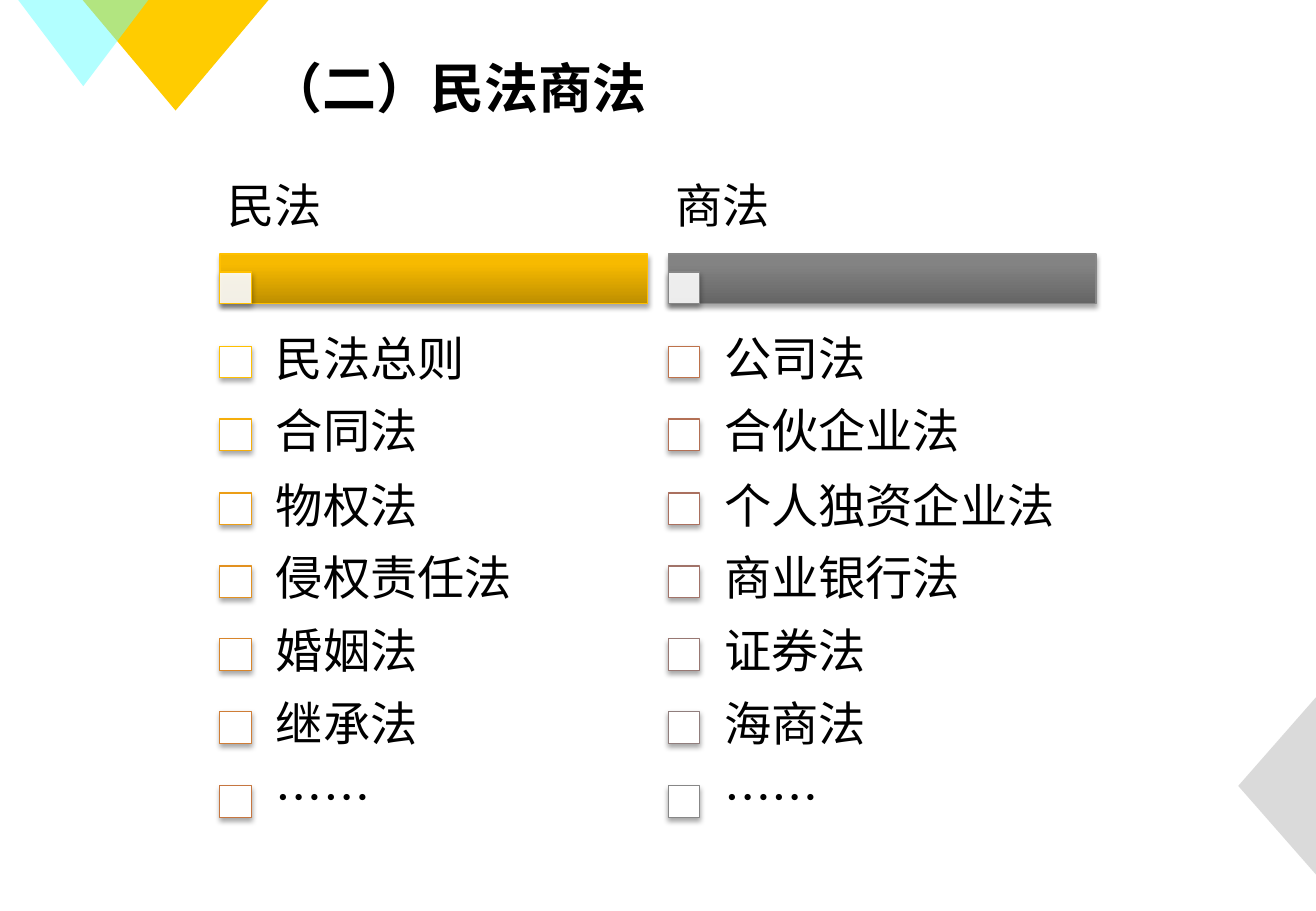
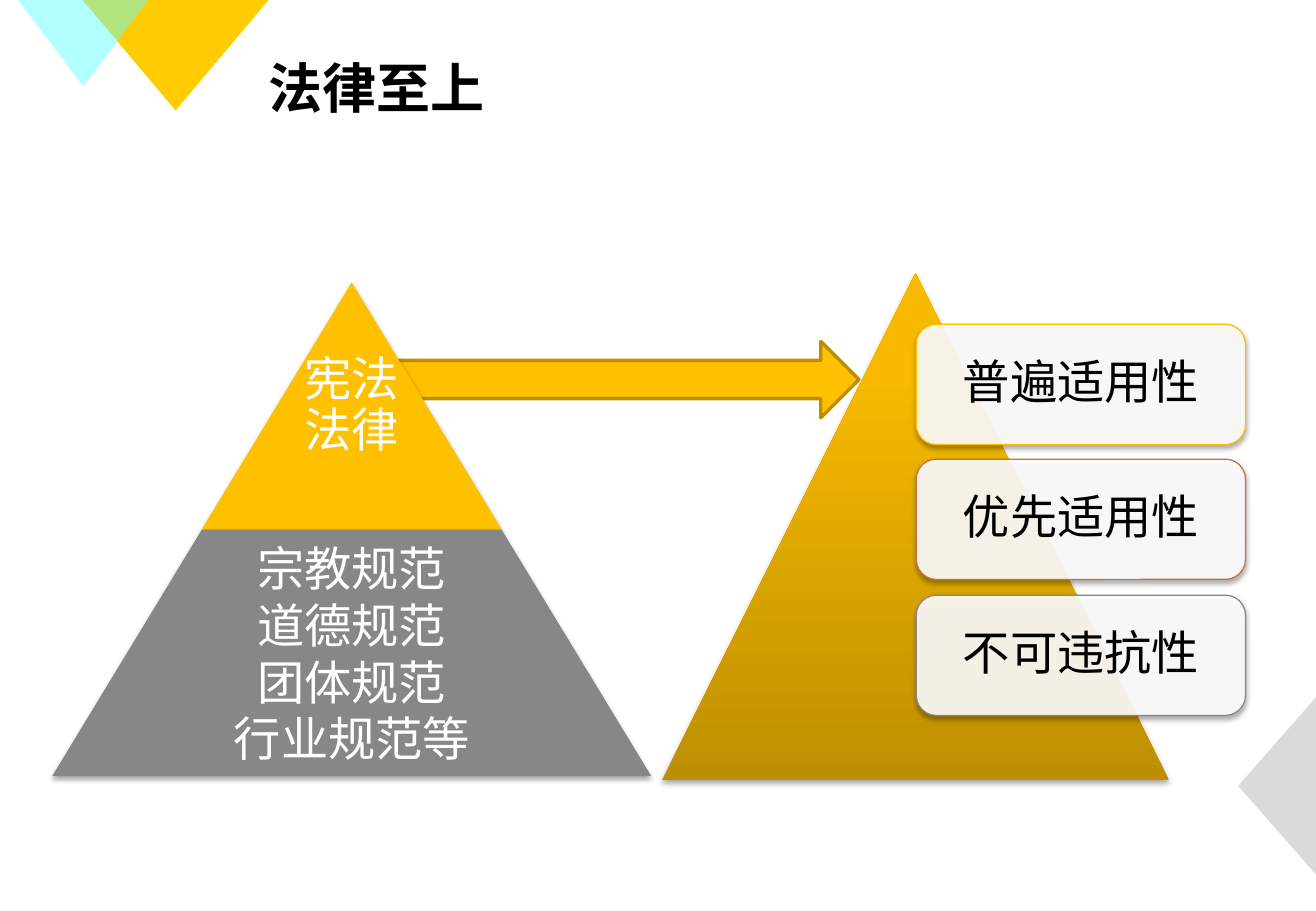
import colorsys
import copy
import dataclasses
import typing

import lxml.etree
import pptx
import pptx.dml.color
import pptx.enum.dml
import pptx.enum.shapes
import pptx.enum.text
import pptx.oxml.ns
import pptx.util

PX = 9144  # EMU in one px, 100 px to the inch
SHAPE = pptx.enum.shapes.MSO_SHAPE
ALIGN = pptx.enum.text.PP_ALIGN
qn = pptx.oxml.ns.qn


class Box(typing.NamedTuple):
    x: int
    y: int
    w: int
    h: int

    def emu(self):
        return [pptx.util.Emu(side * PX) for side in self]


@dataclasses.dataclass(frozen=True)
class Theme:
    font: str = "Noto Sans CJK SC"
    title_size: int = 32
    body_size: int = 28
    hairline: float = 0.75
    black: str = "000000"
    white: str = "FFFFFF"
    amber: str = "FFC000"
    amber_edge: str = "BD8E00"
    grey: str = "878787"
    amber_shade: tuple = ((0, "BE8F00"), (0.8, "F7BA00"), (1, "F8BB00"))
    grey_shade: tuple = ((0, "656565"), (0.8, "838383"), (1, "838383"))
    corner_yellow: str = "FFCC00"
    corner_cyan: str = "66FFFF"
    corner_grey: str = "B7B7B7"


THEME = Theme()
SLIDE = Box(0, 0, 1083, 750)
TITLE = Box(211, 36, 779, 71)


def rgb(colour):
    return pptx.dml.color.RGBColor.from_string(colour)


def fade(share):
    """Colour at a share of the way from amber to grey, through HLS."""
    start, end = (
        colorsys.rgb_to_hls(*(part / 255 for part in rgb(colour)))
        for colour in (THEME.amber, THEME.grey)
    )
    mixed = [a + (b - a) * share for a, b in zip(start, end)]
    return "".join(f"{round(part * 255):02X}" for part in colorsys.hls_to_rgb(*mixed))


# Shapes and text
def add_shadow(shape):
    effects = shape.element.spPr.find(qn("a:effectLst"))
    shadow = lxml.etree.SubElement(
        effects, qn("a:outerShdw"), blurRad="39370", dist="22860",
        dir="5400000", rotWithShape="0")
    tint = lxml.etree.SubElement(shadow, qn("a:srgbClr"), val=THEME.black)
    lxml.etree.SubElement(tint, qn("a:alpha"), val="35000")


def fill_gradient(shape, shade):
    fill = shape.fill
    fill.gradient()
    fill.gradient_angle = 90
    stop_list = shape.element.spPr.find(qn("a:gradFill")).find(qn("a:gsLst"))
    stop_list.append(copy.deepcopy(stop_list[-1]))
    for stop, (position, colour) in zip(fill.gradient_stops, shade):
        stop.position = position
        stop.color.rgb = rgb(colour)


def draw(slide, kind, box, fill, line=None, width=THEME.hairline, opacity=100,
         shadow=True):
    shape = slide.shapes.add_shape(kind, *box.emu())
    shape.shadow.inherit = False
    if isinstance(fill, tuple):
        fill_gradient(shape, fill)
    else:
        shape.fill.solid()
        shape.fill.fore_color.rgb = rgb(fill)
    if opacity < 100:
        tint = shape.element.spPr.find(qn("a:solidFill"))[0]
        lxml.etree.SubElement(tint, qn("a:alpha"), val=str(opacity * 1000))
    if line:
        shape.line.color.rgb = rgb(line)
        shape.line.width = pptx.util.Pt(width)
    else:
        shape.line.fill.background()
    if shadow:
        add_shadow(shape)
    return shape


def write(holder, text, colour=THEME.black, size=THEME.body_size, bold=False,
          align=ALIGN.LEFT, spacing=0.9, inset=(4, 4)):
    frame = holder.text_frame
    frame.text = text
    frame.word_wrap = True
    frame.auto_size = pptx.enum.text.MSO_AUTO_SIZE.NONE
    frame.vertical_anchor = pptx.enum.text.MSO_ANCHOR.MIDDLE
    frame.margin_left = frame.margin_right = inset[0] * PX
    frame.margin_top = frame.margin_bottom = inset[1] * PX
    for paragraph in frame.paragraphs:
        paragraph.alignment = align
        paragraph.line_spacing = spacing
        for run in paragraph.runs:
            run.font.name = THEME.font
            run.font.size = pptx.util.Pt(size)
            run.font.bold = bold
            run.font.color.rgb = rgb(colour)
            latin = run.font._element.find(qn("a:latin"))
            east_asian = copy.deepcopy(latin)
            east_asian.tag = qn("a:ea")
            latin.addnext(east_asian)


def label(slide, box, text, **style):
    write(slide.shapes.add_textbox(*box.emu()), text, **style)


# Parts that the slides share
def decorate_layout(layout, slide):
    """Draw the corner triangles on a slide and move them to its layout."""
    corners = (
        (Box(68, 0, 153, 91), 180, THEME.corner_yellow, 100),
        (Box(15, 0, 107, 71), 180, THEME.corner_cyan, 50),
        (Box(978, 615, 146, 64), 270, THEME.corner_grey, 50),
    )
    for order, (box, turn, colour, opacity) in enumerate(corners):
        corner = draw(slide, SHAPE.ISOSCELES_TRIANGLE, box, colour,
                      opacity=opacity, shadow=False)
        corner.rotation = turn
        corner.element.nvSpPr.cNvPr.set("id", str(20 + order))
        layout.shapes.element.insert(2 + order, corner.element)


def add_titled_slide(deck, layout, title):
    slide = deck.slides.add_slide(layout)
    heading = slide.shapes.title
    heading.left, heading.top, heading.width, heading.height = TITLE.emu()
    write(heading, title, size=THEME.title_size, bold=True, align=ALIGN.JUSTIFY,
          spacing=1.0, inset=(10, 5))
    return slide


# Column of laws: heading, bar and check list
def law_column(slide, box, heading, laws, shade, edge, list_edges):
    check_size, row_area, list_top = 26, 422, box.y + 133
    label(slide, Box(box.x, box.y, box.w, 74), heading, inset=(6, 4))
    bar = Box(box.x, box.y + 75, box.w, 41)
    draw(slide, SHAPE.RECTANGLE, bar, shade, edge)
    bar_check = Box(bar.x, bar.y + bar.h - check_size, check_size, check_size)
    draw(slide, SHAPE.RECTANGLE, bar_check, THEME.white, edge, opacity=90)
    for row, (law, row_edge) in enumerate(zip(laws, list_edges)):
        top = list_top + round(row * row_area / len(laws))
        check = Box(box.x, top + 18, check_size, check_size)
        draw(slide, SHAPE.RECTANGLE, check, THEME.white, row_edge)
        label(slide, Box(box.x + 24, top, box.w - 24, 60), law, inset=(22, 0))


def law_slide(slide):
    columns = (
        ("民法", THEME.amber_shade, THEME.amber,
         ("民法总则", "合同法", "物权法", "侵权责任法", "婚姻法", "继承法", "……")),
        ("商法", THEME.grey_shade, THEME.grey,
         ("公司法", "合伙企业法", "个人独资企业法", "商业银行法", "证券法", "海商法", "……")),
    )
    total = sum(len(laws) for *_, laws in columns)
    edges = iter([fade(step / (total - 1)) for step in range(total)])
    for index, (heading, shade, edge, laws) in enumerate(columns):
        law_column(slide, Box(181 + 369 * index, 134, 352, 555), heading, laws,
                   shade, edge, [next(edges) for _ in laws])


# Pyramid of norms: law above, other norms below
def norm_pyramid(slide, box):
    half = box.h // 2
    tip = Box(box.x + box.w // 4, box.y, box.w // 2 + 1, half)
    base = Box(box.x, box.y + half, box.w, half)
    for tier, colour in ((tip, THEME.amber), (base, THEME.grey)):
        trapezoid = draw(slide, SHAPE.TRAPEZOID, tier, colour)
        trapezoid.adjustments[0] = box.w / 4 / half
    label(slide, tip, "宪法\n法律", colour=THEME.white, align=ALIGN.CENTER)
    label(slide, Box(base.x + 86, base.y, base.w - 172, half),
          "宗教规范\n道德规范\n团体规范\n行业规范等", colour=THEME.white,
          align=ALIGN.CENTER, spacing=1.0)


# Triangle with the three features of law
def feature_triangle(slide, box):
    draw(slide, SHAPE.ISOSCELES_TRIANGLE, box, THEME.amber_shade)
    features = ("普遍适用性", "优先适用性", "不可违抗性")
    for index, feature in enumerate(features):
        card = Box(box.x + box.w // 2 + 1, box.y + 42 + index * 223 // 2, 271, 99)
        shape = draw(slide, SHAPE.ROUNDED_RECTANGLE, card, THEME.white,
                     fade(index / (len(features) - 1)), opacity=90)
        write(shape, feature, align=ALIGN.CENTER, inset=(12, 12))


def supremacy_slide(slide):
    draw(slide, SHAPE.RIGHT_ARROW, Box(290, 281, 417, 63), THEME.amber,
         THEME.amber_edge, width=2, shadow=False)
    norm_pyramid(slide, Box(43, 233, 493, 406))
    feature_triangle(slide, Box(545, 225, 417, 417))


def main():
    deck = pptx.Presentation()
    deck.slide_width, deck.slide_height = SLIDE.emu()[2:]
    layout = deck.slide_layouts.get_by_name("Title Only")
    pages = (("（二）民法商法", law_slide), ("法律至上", supremacy_slide))
    for number, (title, build) in enumerate(pages):
        slide = add_titled_slide(deck, layout, title)
        if number == 0:
            decorate_layout(layout, slide)
        build(slide)
    deck.save("out.pptx")


if __name__ == "__main__":
    main()
